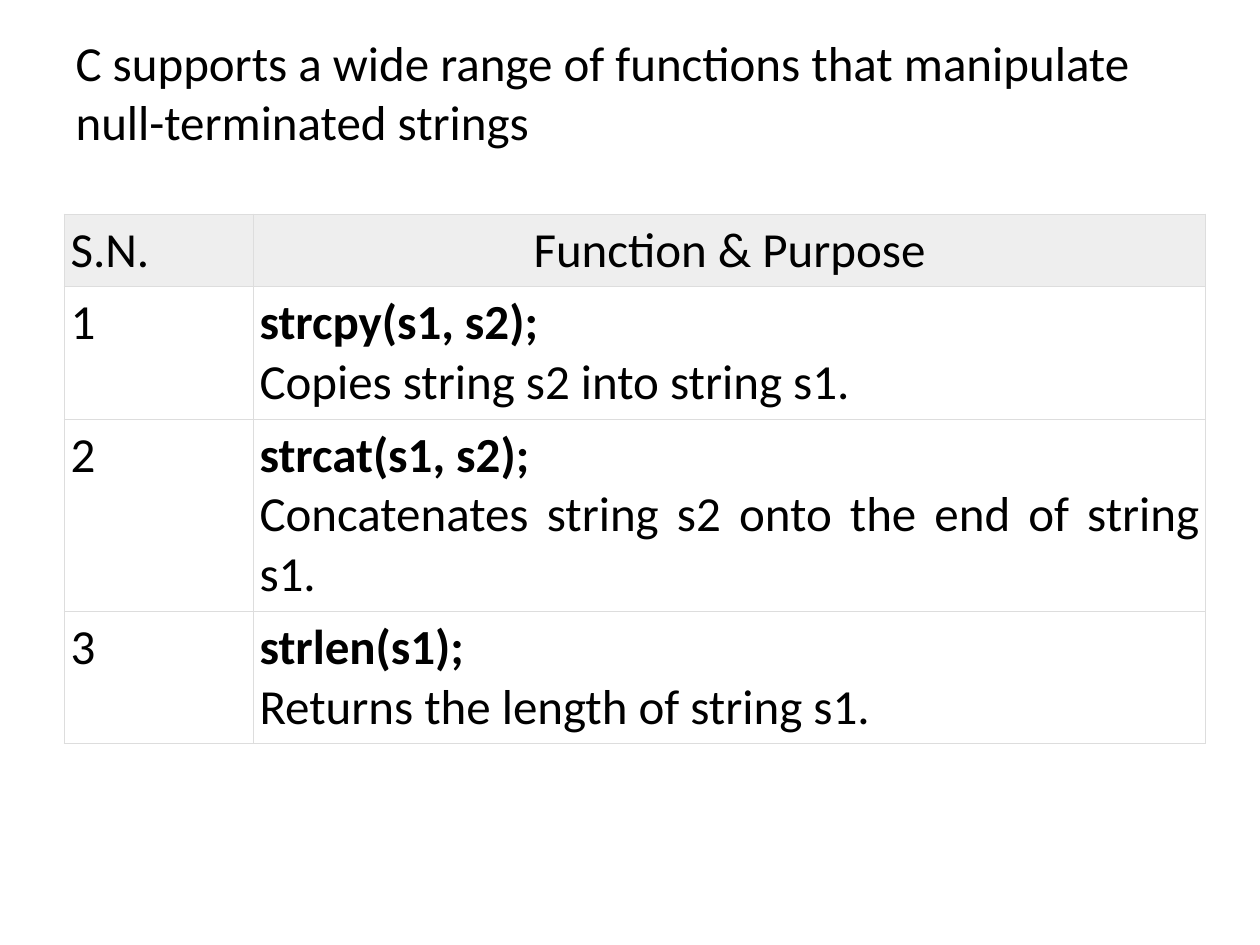
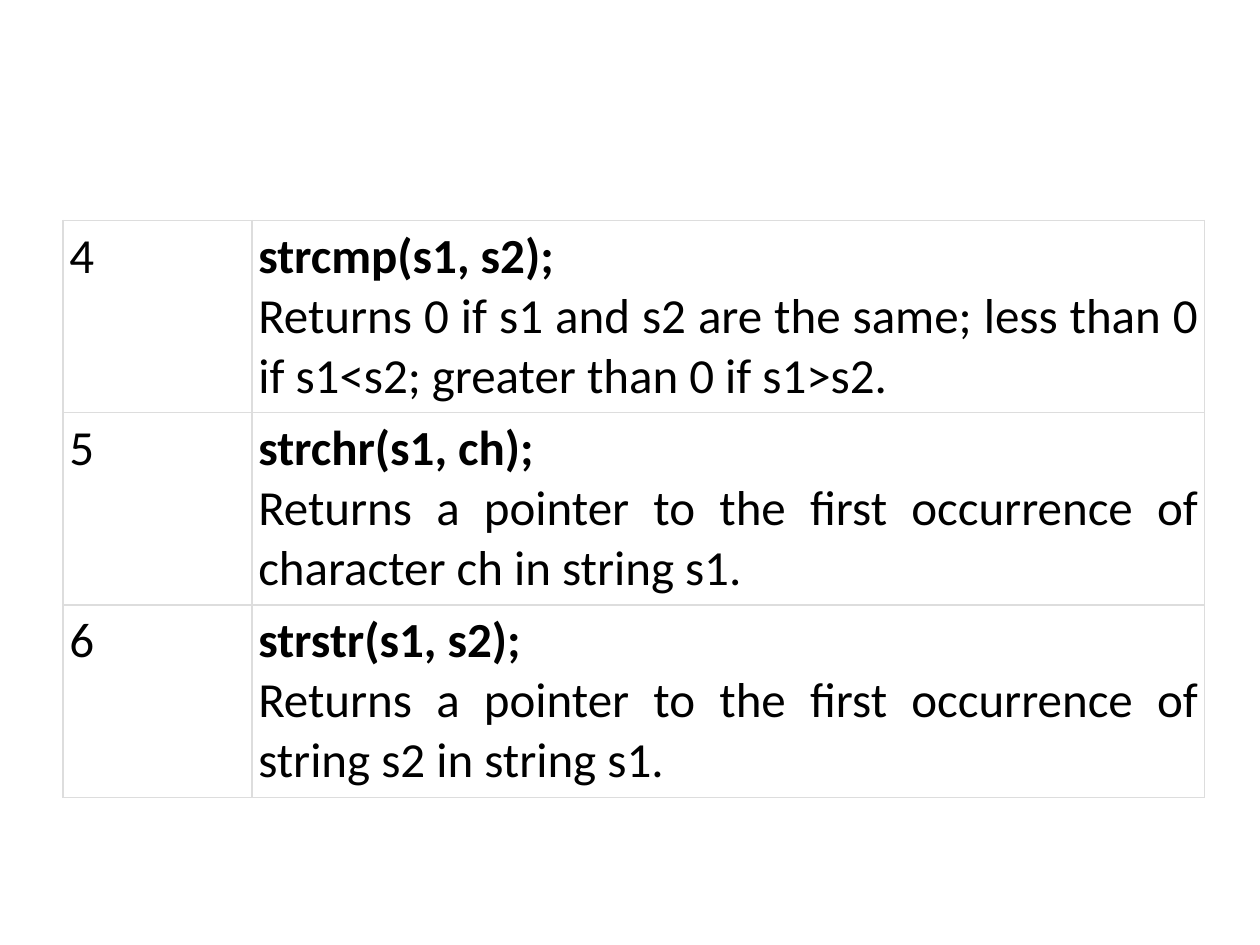
from typing import NamedTuple

from lxml import etree
from pptx import Presentation
from pptx import util as u
from pptx.dml.color import RGBColor
from pptx.enum import text
from pptx.oxml import ns

BLACK = RGBColor(0x00, 0x00, 0x00)
WHITE = RGBColor(0xFF, 0xFF, 0xFF)
HEADER_GREY = RGBColor(0xEE, 0xEE, 0xEE)
BORDER_GREY = RGBColor(0xDD, 0xDD, 0xDD)

FONT = "Calibri"
SIZE = u.Pt(28)
BORDER = u.Pt(0.75)
MARGIN = u.Inches(0.05)
LINE_HEIGHT = u.Inches(0.475)
COLUMN_WIDTHS = (u.Inches(1.5), u.Inches(7.56))

TITLE_ONLY, BLANK = 5, 6
LEFT = text.PP_ALIGN.LEFT
CENTER = text.PP_ALIGN.CENTER
JUSTIFY = text.PP_ALIGN.JUSTIFY


class Function(NamedTuple):
    number: int
    call: str
    purpose: str
    lines: int


BASIC_FUNCTIONS = [
    Function(1, "strcpy(s1, s2);", "Copies string s2 into string s1.", 2),
    Function(2, "strcat(s1, s2);",
             "Concatenates string s2 onto the end of string s1.", 3),
    Function(3, "strlen(s1);", "Returns the length of string s1.", 2),
]
SEARCH_FUNCTIONS = [
    Function(4, "strcmp(s1, s2);",
             "Returns 0 if s1 and s2 are the same; less than 0 if s1<s2; "
             "greater than 0 if s1>s2.", 3),
    Function(5, "strchr(s1, ch);",
             "Returns a pointer to the first occurrence of character ch "
             "in string s1.", 3),
    Function(6, "strstr(s1, s2);",
             "Returns a pointer to the first occurrence of string s2 "
             "in string s1.", 3),
]


def add_run(p, words: str, bold: bool = False) -> None:
    r = p.add_run()
    r.text = words
    r.font.name = FONT
    r.font.size = SIZE
    r.font.bold = bold
    r.font.color.rgb = BLACK


def add_title(s, words: str) -> None:
    sp = s.shapes.title
    sp.left, sp.top = u.Inches(0.5), u.Inches(0.3)
    sp.width, sp.height = u.Inches(9), u.Inches(0.85)
    tf = sp.text_frame
    tf.auto_size = text.MSO_AUTO_SIZE.NONE
    tf.vertical_anchor = text.MSO_ANCHOR.MIDDLE
    p = tf.paragraphs[0]
    p.alignment = LEFT
    add_run(p, words)


def set_borders(cell) -> None:
    tc_pr = cell._tc.get_or_add_tcPr()
    for side in ("a:lnL", "a:lnR", "a:lnT", "a:lnB"):
        line = etree.SubElement(tc_pr, ns.qn(side), w=str(int(BORDER)))
        fill = etree.SubElement(line, ns.qn("a:solidFill"))
        etree.SubElement(fill, ns.qn("a:srgbClr"), val=str(BORDER_GREY))


def fill_cell(cell, paragraphs: list[tuple[str, bool]],
              align: text.PP_ALIGN, colour: RGBColor) -> None:
    set_borders(cell)
    cell.fill.solid()
    cell.fill.fore_color.rgb = colour
    cell.margin_left = cell.margin_right = MARGIN
    cell.margin_top = cell.margin_bottom = MARGIN
    tf = cell.text_frame
    for i, (words, bold) in enumerate(paragraphs):
        p = tf.add_paragraph() if i else tf.paragraphs[0]
        p.alignment = align
        add_run(p, words, bold)


def row_height(lines: int) -> u.Length:
    return u.Emu(2 * MARGIN + lines * LINE_HEIGHT)


def add_function_table(s, left: u.Length, top: u.Length,
                       functions: list[Function], header: bool) -> None:
    heights = [row_height(1)] * header + [row_height(f.lines) for f in functions]
    table = s.shapes.add_table(len(heights), len(COLUMN_WIDTHS), left, top,
                               sum(COLUMN_WIDTHS), sum(heights)).table
    table.first_row = header
    table.horz_banding = False
    for column, width in zip(table.columns, COLUMN_WIDTHS):
        column.width = width
    for row, height in zip(table.rows, heights):
        row.height = height
    if header:
        fill_cell(table.cell(0, 0), [("S.N.", False)], LEFT, HEADER_GREY)
        fill_cell(table.cell(0, 1), [("Function & Purpose", False)],
                  CENTER, HEADER_GREY)
    for i, f in enumerate(functions, start=int(header)):
        fill_cell(table.cell(i, 0), [(str(f.number), False)], LEFT, WHITE)
        fill_cell(table.cell(i, 1), [(f.call, True), (f.purpose, False)],
                  JUSTIFY, WHITE)


def add_slide(prs, layout: int):
    s = prs.slides.add_slide(prs.slide_layouts[layout])
    s.background.fill.solid()
    s.background.fill.fore_color.rgb = WHITE
    return s


prs = Presentation()
prs.slide_width, prs.slide_height = u.Inches(10), u.Inches(7.5)

s = add_slide(prs, TITLE_ONLY)
add_title(s, "C supports a wide range of functions that manipulate "
             "null-terminated strings")
add_function_table(s, u.Inches(0.51), u.Inches(1.7), BASIC_FUNCTIONS, header=True)

s = add_slide(prs, BLANK)
add_function_table(s, u.Inches(0.5), u.Inches(1.75), SEARCH_FUNCTIONS, header=False)

prs.save("out.pptx")
